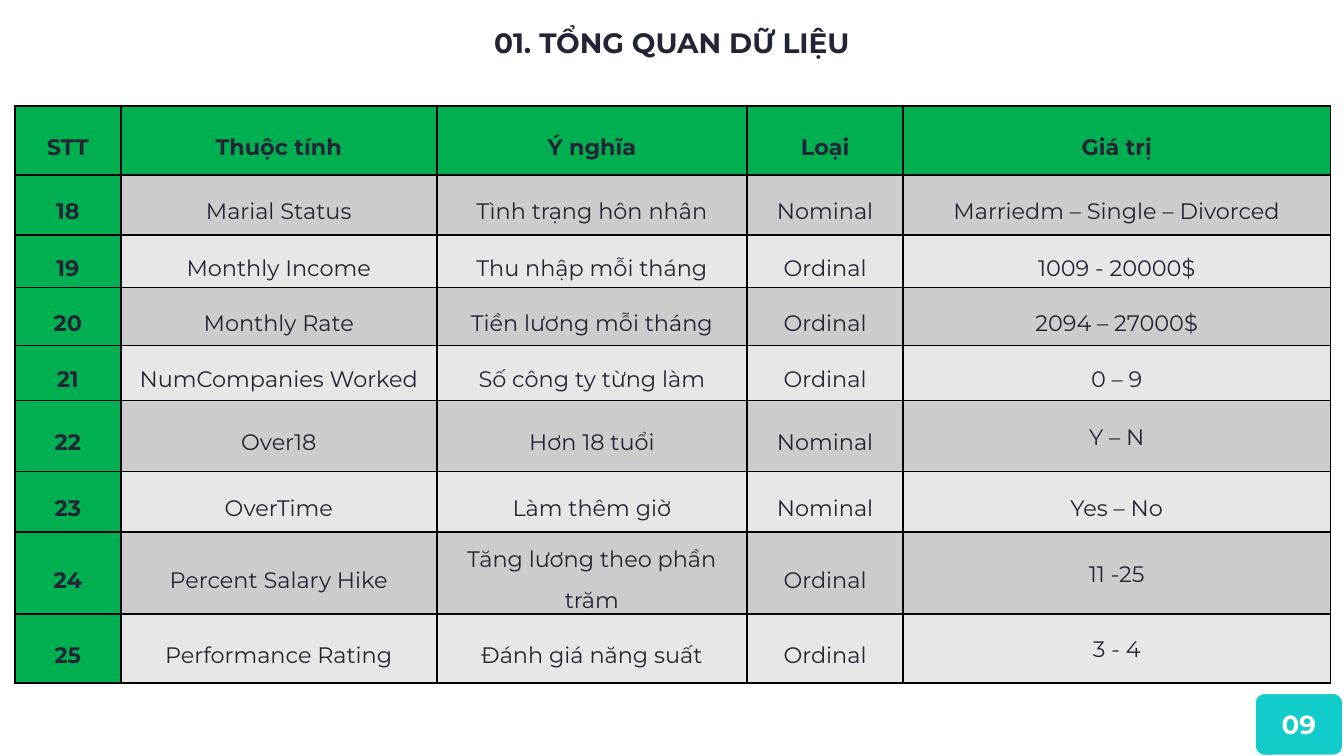
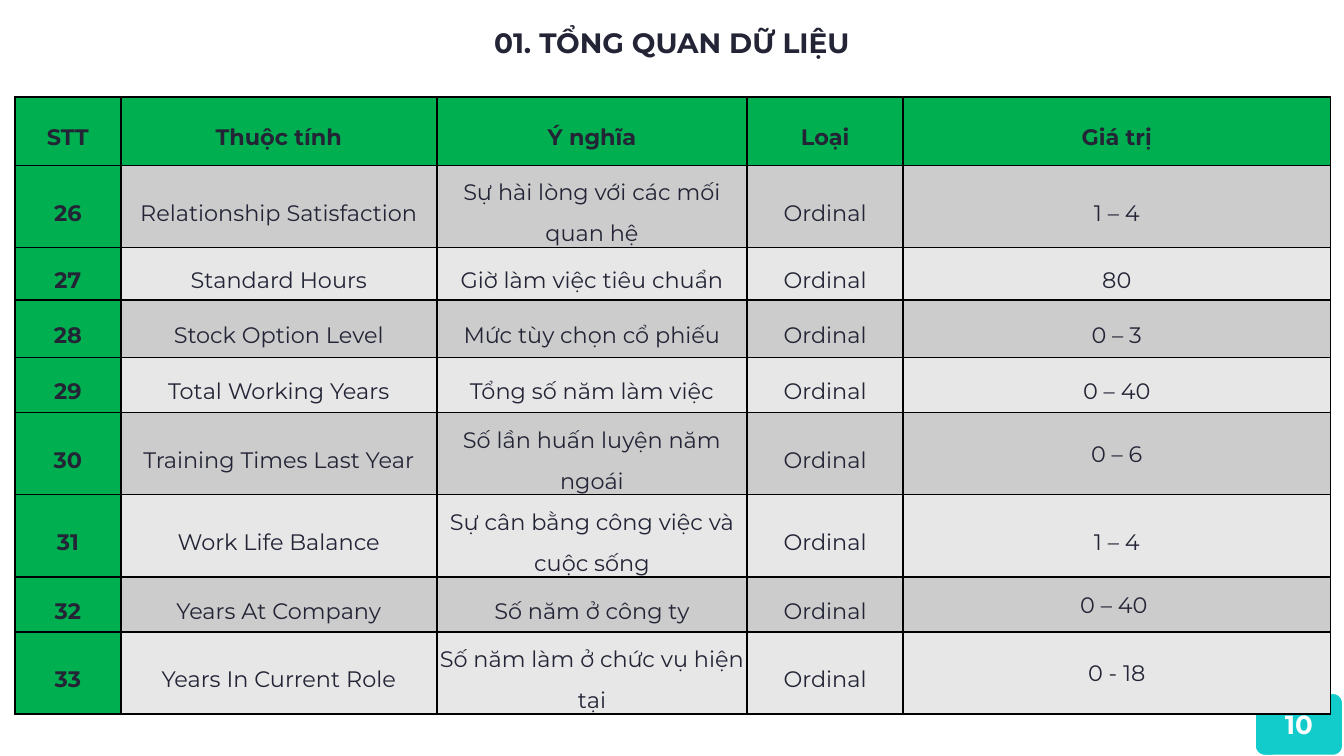
from lxml.etree import SubElement
from pptx import Presentation
from pptx.dml.color import RGBColor
from pptx.enum.shapes import MSO_SHAPE
from pptx.enum.text import MSO_ANCHOR, PP_ALIGN
from pptx.oxml.ns import qn
from pptx.util import Inches, Pt

FONT = "Montserrat"
INK, WHITE, BLACK = "232536", "FFFFFF", "000000"
GREEN, TEAL = "00B050", "12CCCB"
BANDS = ("CCCCCC", "E7E7E7")

PAGE_WIDTH = 10
PAGE_HEIGHT = PAGE_WIDTH * 9 / 16

TITLE = "01. TỔNG QUAN DỮ LIỆU"
HEADER = ("STT", "Thuộc tính", "Ý nghĩa", "Loại", "Giá trị")
COLUMN_WIDTHS = (0.79, 2.35, 2.31, 1.16, 3.18)
ROW_HEIGHTS = (0.51, 0.45, 0.39, 0.43, 0.41, 0.53, 0.45, 0.41, 0.51)
# Rows whose value cell has single spacing and wider margins
COMPACT_VALUES = {"22", "24", "25", "30", "32", "33"}

ATTRIBUTES_18_TO_25 = [
    ("18", "Marial Status", "Tình trạng hôn nhân", "Nominal", "Marriedm – Single – Divorced"),
    ("19", "Monthly Income", "Thu nhập mỗi tháng", "Ordinal", "1009 - 20000$"),
    ("20", "Monthly Rate", "Tiền lương mỗi tháng", "Ordinal", "2094 – 27000$"),
    ("21", "NumCompanies Worked", "Số công ty từng làm", "Ordinal", "0 – 9"),
    ("22", "Over18", "Hơn 18 tuổi", "Nominal", "Y – N"),
    ("23", "OverTime", "Làm thêm giờ", "Nominal", "Yes – No"),
    ("24", "Percent Salary Hike", "Tăng lương theo phần trăm", "Ordinal", "11 -25"),
    ("25", "Performance Rating", "Đánh giá năng suất", "Ordinal", "3 - 4"),
]
ATTRIBUTES_26_TO_33 = [
    ("26", "Relationship Satisfaction", "Sự hài lòng với các mối quan hệ", "Ordinal", "1 – 4"),
    ("27", "Standard Hours", "Giờ làm việc tiêu chuẩn", "Ordinal", "80"),
    ("28", "Stock Option Level", "Mức tùy chọn cổ phiếu", "Ordinal", "0 – 3"),
    ("29", "Total Working Years", "Tổng số năm làm việc", "Ordinal", "0 – 40"),
    ("30", "Training Times Last Year", "Số lần huấn luyện năm ngoái", "Ordinal", "0 – 6"),
    ("31", "Work Life Balance", "Sự cân bằng công việc và cuộc sống", "Ordinal", "1 – 4"),
    ("32", "Years At Company", "Số năm ở công ty", "Ordinal", "0 – 40 "),
    ("33", "Years In Current Role", "Số năm làm ở chức vụ hiện tại", "Ordinal", "0 - 18"),
]


def color(value):
    return RGBColor.from_string(value)


def fill_solid(item, value):
    item.fill.solid()
    item.fill.fore_color.rgb = color(value)


def write_centered(frame, text, size, ink=INK, bold=True):
    para = frame.paragraphs[0]
    para.alignment = PP_ALIGN.CENTER
    span = para.add_run()
    span.text = text
    font = span.font
    font.name, font.size, font.bold = FONT, Pt(size), bold
    font.color.rgb = color(ink)
    return para


def add_title(page):
    box = page.shapes.title
    box.left, box.top = Inches(0), Inches(0)
    box.width, box.height = Inches(PAGE_WIDTH), Inches(0.63)
    frame = box.text_frame
    frame.vertical_anchor = MSO_ANCHOR.MIDDLE
    frame.margin_left = frame.margin_right = Inches(0.1)
    frame.margin_top = frame.margin_bottom = Inches(0.1)
    write_centered(frame, TITLE, 15)


def add_page_badge(page, number):
    badge = page.shapes.add_shape(
        MSO_SHAPE.ROUNDED_RECTANGLE, Inches(9.33), Inches(5.15), Inches(0.67), Inches(0.48))
    badge.shadow.inherit = False
    fill_solid(badge, TEAL)
    badge.line.color.rgb = color(WHITE)
    badge.line.width = Pt(2)
    badge.text_frame.vertical_anchor = MSO_ANCHOR.MIDDLE
    write_centered(badge.text_frame, number, 14, WHITE)


def add_borders(cell):
    properties = cell._tc.get_or_add_tcPr()
    for side in ("lnL", "lnR", "lnT", "lnB"):
        line = SubElement(properties, qn(f"a:{side}"), w=str(Pt(1)))
        solid = SubElement(line, qn("a:solidFill"))
        SubElement(solid, qn("a:srgbClr"), val=BLACK)


def format_cell(cell, text, fill, bold, compact):
    add_borders(cell)
    fill_solid(cell, fill)
    cell.vertical_anchor = MSO_ANCHOR.MIDDLE
    cell.margin_left = cell.margin_right = Inches(0.07 if compact else 0.02)
    cell.margin_top = cell.margin_bottom = Inches(0)
    para = write_centered(cell.text_frame, text, 12, bold=bold)
    para.line_spacing = 1.07 if compact else 1.5
    para.space_after = Pt(0 if compact else 8)


def add_attribute_table(page, top, attributes):
    rows = [HEADER, *attributes]
    table = page.shapes.add_table(
        len(rows), len(HEADER), Inches(0.11), Inches(top),
        Inches(sum(COLUMN_WIDTHS)), Inches(sum(ROW_HEIGHTS))).table
    table.first_row = table.horz_banding = False
    for column, width in zip(table.columns, COLUMN_WIDTHS):
        column.width = Inches(width)
    for row, height in zip(table.rows, ROW_HEIGHTS):
        row.height = Inches(height)
    last = len(HEADER) - 1
    for r, values in enumerate(rows):
        for c, text in enumerate(values):
            heading = r == 0 or c == 0
            fill = GREEN if heading else BANDS[(r - 1) % 2]
            compact = c == last and values[0] in COMPACT_VALUES
            format_cell(table.cell(r, c), text, fill, heading, compact)


def add_overview_page(deck, number, table_top, attributes):
    page = deck.slides.add_slide(deck.slide_layouts.get_by_name("Title Only"))
    fill_solid(page.background, WHITE)
    add_title(page)
    add_page_badge(page, number)
    add_attribute_table(page, table_top, attributes)


def main():
    deck = Presentation()
    deck.slide_width, deck.slide_height = Inches(PAGE_WIDTH), Inches(PAGE_HEIGHT)
    add_overview_page(deck, "09", 0.79, ATTRIBUTES_18_TO_25)
    add_overview_page(deck, "10", 0.72, ATTRIBUTES_26_TO_33)
    deck.save("out.pptx")


if __name__ == "__main__":
    main()
